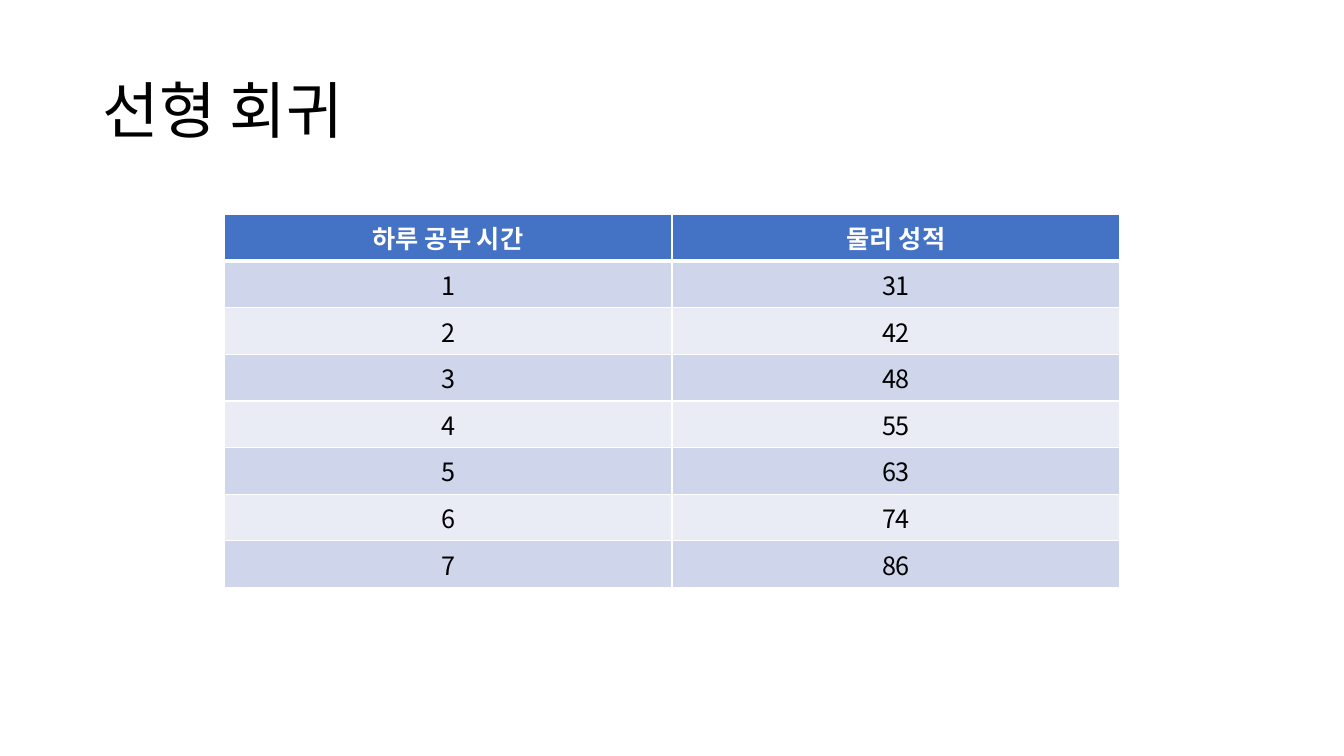
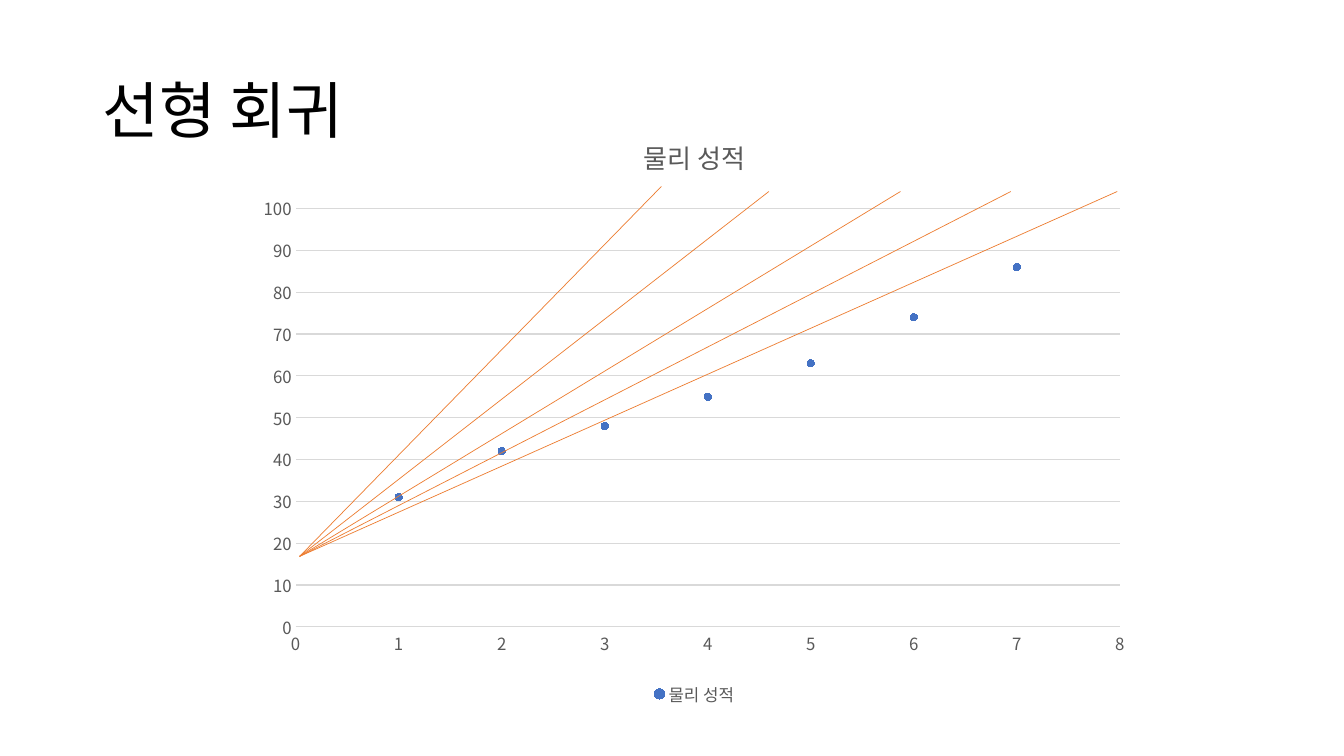
from lxml import etree
from pptx import Presentation
from pptx import util as u
from pptx.chart import data as chart_data
from pptx.dml.color import RGBColor
from pptx.enum import chart as charts, shapes, text
from pptx.oxml import ns

FONT = "Noto Sans CJK KR"
BLACK = RGBColor(0x00, 0x00, 0x00)
WHITE = RGBColor(0xFF, 0xFF, 0xFF)
GRAY = RGBColor(0x59, 0x59, 0x59)
GRID_GRAY = RGBColor(0xD9, 0xD9, 0xD9)
BLUE = RGBColor(0x44, 0x72, 0xC4)
BANDS = [RGBColor(0xE9, 0xEB, 0xF5), RGBColor(0xCF, 0xD5, 0xEA)]
ORANGE = RGBColor(0xED, 0x7D, 0x31)

TITLE = "선형 회귀"
HOURS_LABEL, SCORE_LABEL = "하루 공부 시간", "물리 성적"
SCORES = [31, 42, 48, 55, 63, 74, 86]

deck = Presentation()
deck.slide_width, deck.slide_height = u.Inches(13.33), u.Inches(7.5)
COLUMN, ROW = deck.slide_width / 120, deck.slide_height / 75


def place(*cells):
    return [int(count * unit) for count, unit in zip(cells, (COLUMN, ROW) * 2)]


def style(font, size, color, bold=False):
    font.name, font.size, font.bold = FONT, u.Pt(size), bold
    font.color.rgb = color


pages = []
for number in range(2):
    page = deck.slides.add_slide(deck.slide_layouts.get_by_name("Title Only"))
    title = page.shapes.title
    title.left, title.top, title.width, title.height = place(8.25, 4, 103.5, 14.5)
    title.text_frame.text = TITLE
    title.text_frame.vertical_anchor = text.MSO_ANCHOR.MIDDLE
    para = title.text_frame.paragraphs[0]
    para.alignment, para.line_spacing = text.PP_ALIGN.LEFT, 0.9
    style(para.runs[0].font, 44, BLACK)
    pages.append(page)
table_page, chart_page = pages

rows = [(HOURS_LABEL, SCORE_LABEL), *enumerate(SCORES, 1)]
table = table_page.shapes.add_table(
    len(rows), 2, *place(20, 21.3, 80, 4.05 * len(rows))).table
for index, values in enumerate(rows):
    header = index == 0
    widths = {"lnL": 1, "lnR": 1, "lnT": 3 if index == 1 else 1, "lnB": 3 if header else 1}
    for cell, value in zip(table.rows[index].cells, values):
        cell.text = str(value)
        para = cell.text_frame.paragraphs[0]
        para.alignment = text.PP_ALIGN.CENTER
        style(para.runs[0].font, 18, WHITE if header else BLACK, header)
        properties = cell._tc.get_or_add_tcPr()
        for side, width in widths.items():
            border = etree.SubElement(properties, ns.qn(f"a:{side}"), w=str(u.Pt(width)))
            solid = etree.SubElement(border, ns.qn("a:solidFill"))
            etree.SubElement(solid, ns.qn("a:srgbClr"), val=str(WHITE))
        cell.fill.solid()
        cell.fill.fore_color.rgb = BLUE if header else BANDS[index % 2]

points = chart_data.XyChartData()
series_data = points.add_series(SCORE_LABEL)
for hours, score in enumerate(SCORES, 1):
    series_data.add_data_point(hours, score)
chart = chart_page.shapes.add_chart(
    charts.XL_CHART_TYPE.XY_SCATTER, *place(22, 11.2, 80, 59.3), points).chart
style(chart.font, 10, BLACK)

chart.has_title = True
chart.chart_title.include_in_layout = False
chart.chart_title.text_frame.text = SCORE_LABEL
style(chart.chart_title.text_frame.paragraphs[0].runs[0].font, 18.6, GRAY)

chart.has_legend = True
chart.legend.position = charts.XL_LEGEND_POSITION.BOTTOM
chart.legend.include_in_layout = False
style(chart.legend.font, 12, GRAY)

for axis, maximum, step in [(chart.category_axis, 8, 1), (chart.value_axis, 100, 10)]:
    axis.minimum_scale, axis.maximum_scale, axis.major_unit = 0, maximum, step
    axis.major_tick_mark = axis.minor_tick_mark = charts.XL_TICK_MARK.NONE
    style(axis.tick_labels.font, 12, GRAY)
chart.category_axis.has_major_gridlines = False
chart.value_axis.has_major_gridlines = True
chart.value_axis.format.line.fill.background()
for line in (chart.category_axis.format.line, chart.value_axis.major_gridlines.format.line):
    line.color.rgb, line.width = GRID_GRAY, u.Pt(0.75)

plot = chart.plots[0]
plot.vary_by_categories = False
series = plot.series[0]
series.format.line.fill.background()
marker = series.marker
marker.style, marker.size = charts.XL_MARKER_STYLE.CIRCLE, 5
marker.format.fill.solid()
marker.format.fill.fore_color.rgb = BLUE
marker.format.line.color.rgb = BLUE

plot_area = chart.element.find(".//" + ns.qn("c:plotArea"))
for old in plot_area.findall(ns.qn("c:layout")):
    plot_area.remove(old)
layout = etree.Element(ns.qn("c:layout"))
plot_area.insert(0, layout)
manual = etree.SubElement(layout, ns.qn("c:manualLayout"))
for name, value in [("layoutTarget", "inner"), ("xMode", "edge"), ("yMode", "edge"),
                    ("x", 0.055), ("y", 0.16), ("w", 0.92), ("h", 0.7)]:
    etree.SubElement(manual, ns.qn(f"c:{name}"), val=str(value))

for column, row in [(59.05, 18.5), (68.65, 19), (80.4, 19), (90.25, 19), (99.75, 19)]:
    guess = chart_page.shapes.add_connector(
        shapes.MSO_CONNECTOR.STRAIGHT, *place(26.75, 55.2, column, row))
    guess.line.color.rgb, guess.line.width = ORANGE, u.Pt(0.5)
    etree.SubElement(guess.element.spPr, ns.qn("a:effectLst"))

for root in [*(page.element for page in pages), chart.element]:
    for latin in list(root.iter(ns.qn("a:latin"))):
        latin.addnext(etree.Element(ns.qn("a:ea"), typeface=FONT))

deck.save("out.pptx")
